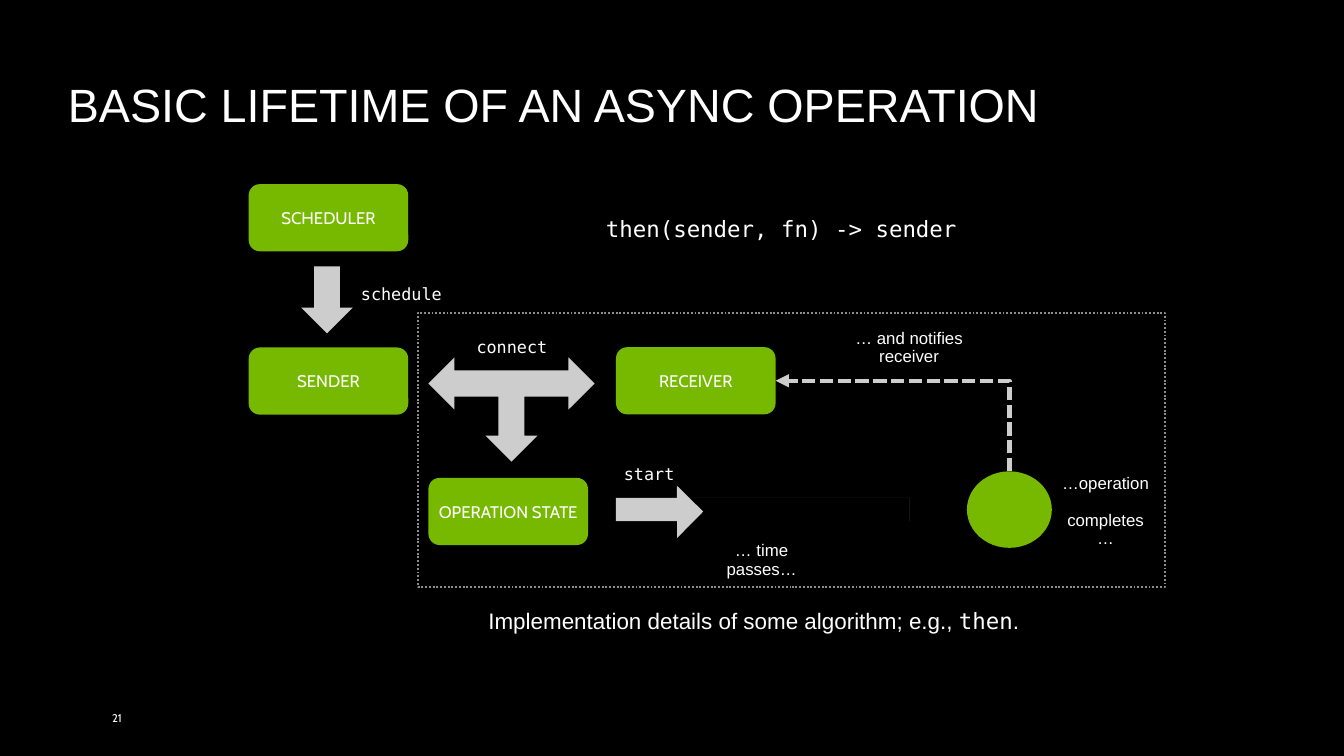
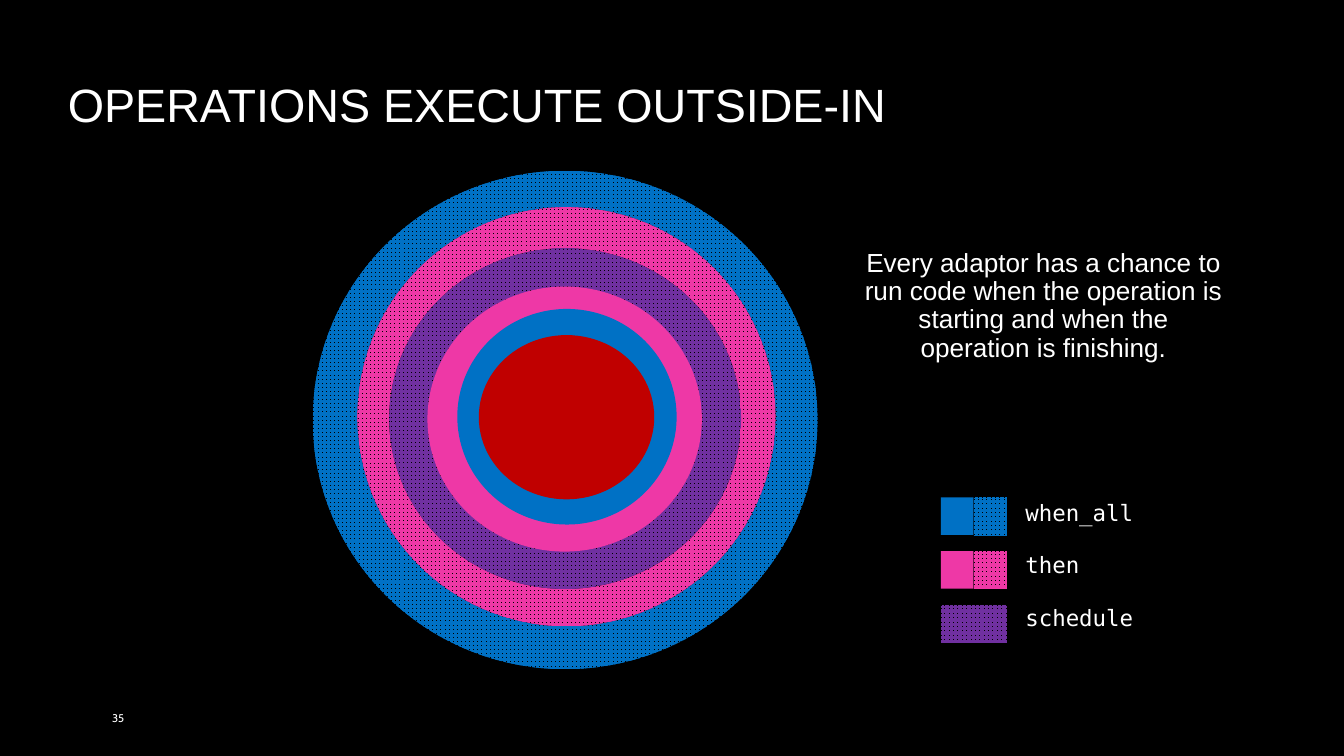
from lxml import etree
from pptx import Presentation
from pptx.dml.color import RGBColor
from pptx.enum.dml import MSO_LINE_DASH_STYLE as DASH, MSO_PATTERN_TYPE as PATTERN
from pptx.enum.shapes import MSO_CONNECTOR as LINK, MSO_SHAPE as SHAPE
from pptx.enum.text import MSO_ANCHOR as ANCHOR, MSO_AUTO_SIZE as FIT, PP_ALIGN as ALIGN
from pptx.oxml.ns import qn
from pptx.util import Pt

COLORS = {
    "black": "000000", "white": "FFFFFF", "green": "76B900",
    "arrow": "CDCDCD", "frame": "8C8C8C", "blue": "0071C5",
    "pink": "EE38A6", "purple": "7030A0", "red": "C00000",
}
SANS, LABEL, MONO = "Arial", "Cabin", "DejaVu Sans Mono"
NODE_W, NODE_H = 171, 72


def rgb(name):
    """Look up a colour by name."""
    return RGBColor.from_string(COLORS[name])


def style(font, size, face):
    """Give a font its size, typeface and white colour."""
    font.size, font.name = Pt(size), face
    font.color.rgb = rgb("white")


def write(frame, text, size, face, align=ALIGN.CENTER, spacing=0.9, gap=0):
    """Fill a text frame with one paragraph for each line of text."""
    frame.word_wrap = True
    frame.auto_size = FIT.NONE
    for index, line in enumerate(text.split("\n")):
        paragraph = frame.add_paragraph() if index else frame.paragraphs[0]
        paragraph.text = line
        paragraph.alignment, paragraph.line_spacing = align, spacing
        if index:
            paragraph.space_before = Pt(gap)
        style(paragraph.font, size, face)


def add_text(slide, box, text, size, face, **options):
    """Add a vertically centred text box."""
    frame = slide.shapes.add_textbox(*map(Pt, box)).text_frame
    frame.vertical_anchor = ANCHOR.MIDDLE
    write(frame, text, size, face, **options)
    return frame


def add_block(slide, kind, box, color, grid=False):
    """Add a borderless shape with a solid or small-grid fill."""
    block = slide.shapes.add_shape(kind, *map(Pt, box))
    block.shadow.inherit = False
    block.line.fill.background()
    if grid:
        block.fill.patterned()
        block.fill.pattern = PATTERN.SMALL_GRID
        block.fill.fore_color.rgb = rgb(color)
        block.fill.back_color.rgb = rgb("black")
    else:
        block.fill.solid()
        block.fill.fore_color.rgb = rgb(color)
    return block


def add_node(slide, left, top, text):
    """Add a green rounded node with its name."""
    node = add_block(slide, SHAPE.ROUNDED_RECTANGLE, (left, top, NODE_W, NODE_H), "green")
    frame = node.text_frame
    frame.margin_left = frame.margin_right = 0
    frame.vertical_anchor = ANCHOR.MIDDLE
    write(frame, text, 18, LABEL, spacing=1)


def add_notification(slide, start, end):
    """Add a dashed arrow that goes up from start and then left to end."""
    (x1, y1), (x2, y2) = start, end
    half_w, half_h = abs(y1 - y2) / 2, abs(x1 - x2) / 2
    mid_x, mid_y = (x1 + x2) / 2, (y1 + y2) / 2
    corners = (mid_x - half_w, mid_y - half_h, mid_x + half_w, mid_y + half_h)
    link = slide.shapes.add_connector(LINK.ELBOW, *map(Pt, corners))
    link.line.color.rgb = rgb("arrow")
    link.line.width = Pt(4.75)
    link.line.dash_style = DASH.SQUARE_DOT
    properties = link.element.spPr
    turn = properties.find(qn("a:xfrm"))
    turn.set("rot", "16200000")
    turn.set("flipV", "1")
    properties.find(qn("a:prstGeom")).set("prst", "bentConnector2")
    etree.SubElement(properties.find(qn("a:ln")), qn("a:tailEnd")).set("type", "triangle")
    etree.SubElement(properties, qn("a:effectLst"))


def add_page(prs, title, number):
    """Add a slide with the shared title style and page number."""
    slide = prs.slides.add_slide(prs.slide_layouts[5])
    heading = slide.shapes.title
    heading.left, heading.top, heading.width, heading.height = map(Pt, (65.5, 68.4, 1309, 77.8))
    heading.text_frame.vertical_anchor = ANCHOR.BOTTOM
    write(heading.text_frame, title, 50, SANS, align=ALIGN.LEFT)
    add_text(slide, (113, 747.4, 324, 43.2), number, 12, LABEL, align=ALIGN.LEFT, spacing=1)
    return slide


def draw_scheduling(slide, left, top):
    """Draw the scheduler, its arrow and the sender."""
    add_node(slide, left, top, "SCHEDULER")
    add_block(slide, SHAPE.DOWN_ARROW, (left + 56.3, top + 88, 55.4, 72), "arrow")
    add_text(slide, (left + 113.2, top + 104, 110, 26), "schedule", 18, MONO,
             align=ALIGN.LEFT, spacing=1)
    add_node(slide, left, top + 175, "SENDER")


def draw_algorithm(slide, left, top, width, height):
    """Draw the dotted frame and the operation that runs inside it."""
    receiver = (left + 212, top + 37)
    add_node(slide, *receiver, "RECEIVER")
    add_node(slide, left + 11, top + 177, "OPERATION STATE")

    junction = add_block(slide, SHAPE.LEFT_RIGHT_UP_ARROW,
                         (left + 11, top + 48, 178, 111.6), "arrow")
    junction.element.spPr.find(qn("a:xfrm")).set("flipV", "1")

    add_block(slide, SHAPE.RECTANGLE, (left + 212, top + 198.5, 314, 25), "arrow")
    add_block(slide, SHAPE.RECTANGLE, (left + 284, top + 198, 242, 35), "black")
    tip = add_block(slide, SHAPE.RIGHT_TRIANGLE,
                    (left + 257.6, top + 193.5, 39.6, 39.6), "arrow")
    tip.rotation = 224.6

    completion = (left + 588, top + 170, 91, 82)
    add_block(slide, SHAPE.FLOWCHART_CONNECTOR, completion, "green")
    add_notification(slide, (completion[0] + completion[2] / 2, completion[1]),
                     (receiver[0] + NODE_W, receiver[1] + NODE_H / 2))

    for x, y, w, h, text, face in (
        (55, 24, 91, 27, "connect", MONO),
        (202, 160, 91, 27, "start", MONO),
        (302, 252, 132, 27, "… time passes…", SANS),
        (460, 14, 132, 47, "… and notifies receiver", SANS),
        (682, 190, 109, 47, "…operation\ncompletes…", SANS),
    ):
        add_text(slide, (left + x, top + y, w, h), text, 18, face, gap=20)

    frame = slide.shapes.add_shape(SHAPE.RECTANGLE, *map(Pt, (left, top, width, height)))
    frame.shadow.inherit = False
    frame.fill.background()
    frame.line.color.rgb = rgb("frame")
    frame.line.width = Pt(2)
    frame.line.dash_style = DASH.ROUND_DOT


def draw_caption(slide, box):
    """Write the caption that names the algorithm in monospace."""
    frame = add_text(slide, box, "", 24, SANS)
    for text, face in (("Implementation details of some algorithm; e.g., ", SANS),
                       ("then", MONO), (".", SANS)):
        run = frame.paragraphs[0].add_run()
        run.text = text
        style(run.font, 24, face)


def draw_rings(slide, left, top):
    """Draw the nested operations from the outside in."""
    for x, y, w, h, color, grid in (
        (0, 0, 541, 534, "blue", True),
        (48, 39, 448, 449, "pink", True),
        (82, 83, 377, 365, "purple", True),
        (123, 124, 294, 284, "pink", False),
        (155, 148, 235, 231, "blue", False),
        (178, 176, 188, 176, "red", False),
    ):
        add_block(slide, SHAPE.OVAL, (left + x, top + y, w, h), color, grid)


def draw_legend(slide, left, top):
    """Draw the swatches and the adaptor names."""
    half, height = 35.3, 40.3
    entries = (("when_all", "blue", True), ("then", "pink", True), ("schedule", "purple", False))
    for row, (adaptor, color, split) in enumerate(entries):
        y = top + row * 57.6
        if split:
            add_block(slide, SHAPE.RECTANGLE, (left, y, half, height), color)
            add_block(slide, SHAPE.RECTANGLE, (left + half, y, half, height), color, True)
        else:
            add_block(slide, SHAPE.RECTANGLE, (left, y, 2 * half, height), color, True)
        add_text(slide, (left + 83.5, top + 1.4 + row * 56.2, 134.6, 33), adaptor, 24, MONO,
                 align=ALIGN.LEFT)


def build_lifetime(prs):
    """Build the slide on the lifetime of an operation."""
    slide = add_page(prs, "BASIC LIFETIME OF AN ASYNC OPERATION", "21")
    draw_scheduling(slide, 266.4, 197.3)
    draw_algorithm(slide, 448, 335, 800, 294)
    draw_caption(slide, (512.6, 650, 590, 33))
    add_text(slide, (628, 229.7, 418, 33), "then(sender, fn) -> sender", 24, MONO)


def build_execution(prs):
    """Build the slide on the order of execution."""
    slide = add_page(prs, "OPERATIONS EXECUTE OUTSIDE-IN", "35")
    draw_rings(slide, 335, 183)
    draw_legend(slide, 1008, 532.8)
    add_text(slide, (917.3, 263.5, 401, 129.6),
             "Every adaptor has a chance to run code when the operation is starting "
             "and when the operation is finishing.", 28, SANS)


def main():
    """Build and save the presentation."""
    prs = Presentation()
    prs.slide_width, prs.slide_height = Pt(1440), Pt(810)
    backdrop = prs.slide_master.background.fill
    backdrop.solid()
    backdrop.fore_color.rgb = rgb("black")
    build_lifetime(prs)
    build_execution(prs)
    prs.save("out.pptx")


if __name__ == "__main__":
    main()
